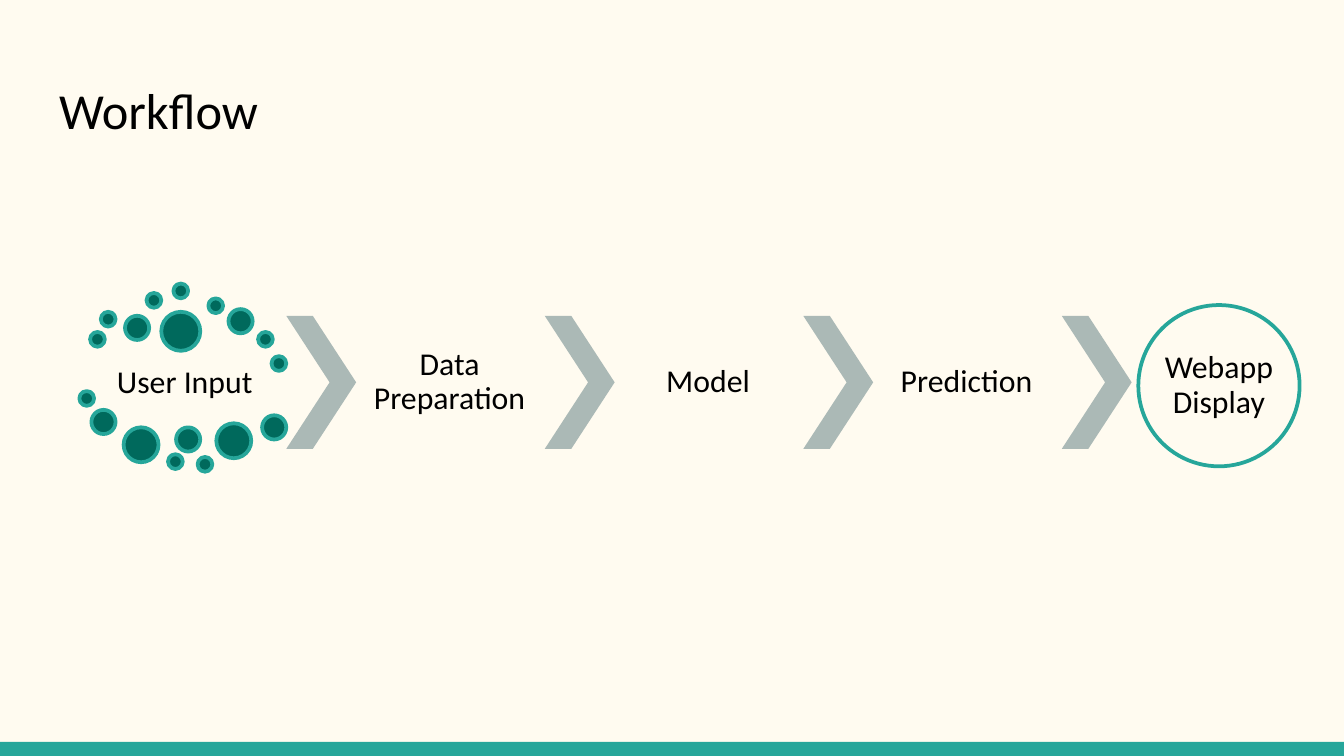
"""Build the workflow slide: five steps joined by chevrons."""
import pptx
import pptx.dml.color
import pptx.enum.shapes
import pptx.enum.text
import pptx.oxml
import pptx.oxml.ns
import pptx.util

Inches = pptx.util.Inches
SHAPES = pptx.enum.shapes.MSO_SHAPE
ALIGN = pptx.enum.text.PP_ALIGN
ANCHOR = pptx.enum.text.MSO_ANCHOR
CREAM, TEAL, DARK_TEAL, GREY = "FFFBF0", "26A69A", "00695C", "ABB9B6"


def paint(color_format, color):
    color_format.rgb = pptx.dml.color.RGBColor.from_string(color)


def add_shape(kind, left, top, width, height, fill, line=None):
    shape = slide.shapes.add_shape(
        kind, Inches(left), Inches(top), Inches(width), Inches(height))
    shape.shadow.inherit = False
    shape.fill.solid()
    paint(shape.fill.fore_color, fill)
    if line:
        paint(shape.line.color, line)
        shape.line.width = pptx.util.Pt(2)
    else:
        shape.line.fill.background()
    return shape


presentation = pptx.Presentation()
presentation.slide_width = Inches(10)
presentation.slide_height = Inches(10 * 9 / 16)
slide = presentation.slides.add_slide(presentation.slide_layouts[5])
slide.background.fill.solid()
paint(slide.background.fill.fore_color, CREAM)
add_shape(SHAPES.RECTANGLE, 0, 5.52, 10, 0.11, TEAL)

title = slide.shapes.title
title_place = {"left": 0.34, "top": 0.49, "width": 9.32, "height": 0.67}
for name, value in title_place.items():
    setattr(title, name, Inches(value))
title.text_frame.text = "Workflow"

step_width, chevron_width = 1.41, 0.52
first_chevron, last_chevron = 2.13, 7.9
pitch = (last_chevron - first_chevron) / 3
row_top, row_height = 2.35, 0.99
steps = [("User Input", SHAPES.RECTANGLE, 0.67, 2.62, step_width, 0.46)]
for index, label in enumerate(["Data Preparation", "Model", "Prediction"]):
    left = 2.64 + index * pitch
    steps.append((label, SHAPES.RECTANGLE, left, row_top, step_width, row_height))
steps.append(("Webapp Display", SHAPES.OVAL, 8.47, 2.27, 1.2, 1.2))

formats = [(title.text_frame, 27, 0.1, ALIGN.LEFT, ANCHOR.TOP, 1.0)]
for label, kind, left, top, width, height in steps:
    is_circle = kind == SHAPES.OVAL
    step = add_shape(kind, left, top, width, height, CREAM, TEAL if is_circle else None)
    fill_color = step.fill._xPr.find(".//" + pptx.oxml.ns.qn("a:srgbClr"))
    fill_color.append(pptx.oxml.parse_xml(
        f'<a:alpha {pptx.oxml.ns.nsdecls("a")} val="90000"/>'))
    step.text_frame.text = label
    inset = 0 if is_circle else 0.02
    formats.append((step.text_frame, 17, inset, ALIGN.CENTER, ANCHOR.MIDDLE, 0.9))

for text_frame, size, inset, alignment, anchor, spacing in formats:
    frame_format = {
        "word_wrap": True,
        "auto_size": pptx.enum.text.MSO_AUTO_SIZE.NONE,
        "vertical_anchor": anchor,
    }
    for side in ("left", "top", "right", "bottom"):
        frame_format[f"margin_{side}"] = Inches(inset)
    for name, value in frame_format.items():
        setattr(text_frame, name, value)
    paragraph = text_frame.paragraphs[0]
    paragraph.alignment = alignment
    paragraph.line_spacing = spacing
    font = paragraph.runs[0].font
    for name, value in {"name": "Calibri", "size": pptx.util.Pt(size)}.items():
        setattr(font, name, value)
    paint(font.color, "000000")

dots_by_diameter = {
    0.11: [(0.67, 2.47), (0.75, 2.32), (1.09, 2.18), (1.29, 2.11), (1.55, 2.22),
           (1.92, 2.47), (2.02, 2.65), (0.59, 2.91), (1.25, 3.38), (1.47, 3.4)],
    0.18: [(0.93, 2.35), (1.7, 2.3), (0.68, 3.05), (1.31, 3.18), (1.95, 3.09)],
    0.26: [(0.92, 3.18), (1.61, 3.15)],
    0.29: [(1.2, 2.32)],
}
for diameter, positions in dots_by_diameter.items():
    for left, top in positions:
        add_shape(SHAPES.OVAL, left, top, diameter, diameter, DARK_TEAL, TEAL)

for index in range(4):
    left = first_chevron + index * pitch
    chevron = add_shape(SHAPES.CHEVRON, left, row_top, chevron_width, row_height, GREY)
    chevron.adjustments[0] = 0.62

presentation.save("out.pptx")
